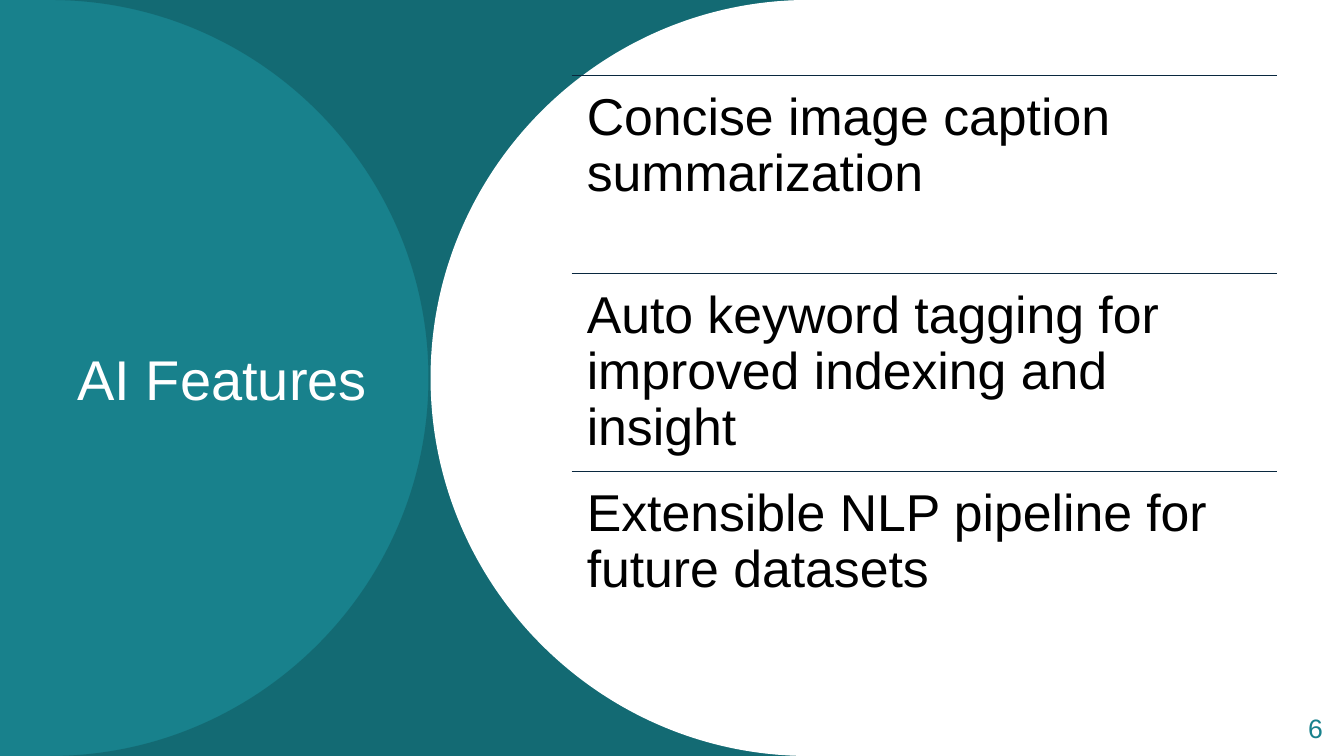
import pptx
import pptx.dml.color
import pptx.enum.shapes
import pptx.enum.text
import pptx.oxml.ns
import pptx.util
from lxml import etree

WIDTH, HEIGHT = 13.33, 7.5
RADIUS = HEIGHT / 2
HANDLE = RADIUS * 0.55
FONT = "Arial"
TEAL, DEEP_TEAL, NAVY, WHITE, BLACK = "18818C", "126169", "09283F", "FFFFFF", "000000"
FEATURES = [
    "Concise image caption summarization",
    "Auto keyword tagging for improved indexing and insight",
    "Extensible NLP pipeline for future datasets",
]


def color(value):
    return pptx.dml.color.RGBColor.from_string(value)


def emu(lengths):
    return [pptx.util.Inches(length) for length in lengths]


def write(frame, text, size, text_color, align, anchor, spacing=0.9, inset=(0.1, 0.05)):
    frame.word_wrap = True
    frame.auto_size = pptx.enum.text.MSO_AUTO_SIZE.NONE
    frame.vertical_anchor = anchor
    frame.margin_left = frame.margin_right = pptx.util.Inches(inset[0])
    frame.margin_top = frame.margin_bottom = pptx.util.Inches(inset[1])
    paragraph = frame.paragraphs[0]
    paragraph.text = text
    paragraph.alignment = align
    paragraph.line_spacing = spacing
    paragraph.font.name = FONT
    paragraph.font.size = pptx.util.Pt(size)
    paragraph.font.color.rgb = color(text_color)


def curve_lines(panel, curve_count):
    lines = list(panel._element.iter(pptx.oxml.ns.qn("a:lnTo")))
    for first in range(0, curve_count * 3, 3):
        group = lines[first:first + 3]
        curve = etree.Element(pptx.oxml.ns.qn("a:cubicBezTo"))
        group[0].addprevious(curve)
        for line in group:
            curve.append(line[0])
            line.getparent().remove(line)


def add_arched_panel(slide, center, bulge, far_edge, fill, opacity=100):
    tip = center + bulge * RADIUS
    shoulder = center + bulge * HANDLE
    outline = [
        (shoulder, 0), (tip, RADIUS - HANDLE), (tip, RADIUS),
        (tip, RADIUS + HANDLE), (shoulder, HEIGHT), (center, HEIGHT),
        (far_edge, HEIGHT), (far_edge, 0),
    ]
    builder = slide.shapes.build_freeform(pptx.util.Inches(center), 0)
    builder.add_line_segments([emu(point) for point in outline], close=True)
    panel = builder.convert_to_shape()
    curve_lines(panel, 2)
    panel.shadow.inherit = False
    panel.line.fill.background()
    panel.fill.solid()
    panel.fill.fore_color.rgb = color(fill)
    if opacity < 100:
        tint = panel._element.spPr.find(".//" + pptx.oxml.ns.qn("a:srgbClr"))
        etree.SubElement(tint, pptx.oxml.ns.qn("a:alpha"), val=str(opacity * 1000))


def add_backdrop(slide):
    add_arched_panel(slide, 8.04, -1, 0, TEAL)
    add_arched_panel(slide, 0.5, 1, 8.54, DEEP_TEAL, 70)
    add_arched_panel(slide, 8.02, -1, 10.78, WHITE)


def add_title(slide, box):
    title = slide.shapes.title
    slide.shapes._spTree.append(title._element)
    title.left, title.top, title.width, title.height = emu(box)
    write(title.text_frame, "AI Features", 40, WHITE,
          pptx.enum.text.PP_ALIGN.LEFT, pptx.enum.text.MSO_ANCHOR.MIDDLE, 1.0)


def add_features(slide, box):
    left, top, width, height = box
    row_height = height / len(FEATURES)
    for row, feature in enumerate(FEATURES):
        row_top = top + row * row_height
        rule = slide.shapes.add_connector(
            pptx.enum.shapes.MSO_CONNECTOR.STRAIGHT,
            *emu((left, row_top, left + width, row_top)))
        rule.line.color.rgb = color(NAVY)
        rule.line.width = pptx.util.Pt(1)
        etree.SubElement(rule._element.spPr, pptx.oxml.ns.qn("a:effectLst"))
        entry = slide.shapes.add_textbox(*emu((left, row_top, width, row_height)))
        write(entry.text_frame, feature, 37, BLACK, pptx.enum.text.PP_ALIGN.LEFT,
              pptx.enum.text.MSO_ANCHOR.TOP, inset=(0.15, 0.15))


def add_page_number(slide, box):
    number = slide.shapes.add_textbox(*emu(box))
    write(number.text_frame, "6", 19, TEAL,
          pptx.enum.text.PP_ALIGN.RIGHT, pptx.enum.text.MSO_ANCHOR.MIDDLE)


def main():
    deck = pptx.Presentation()
    deck.slide_width, deck.slide_height = emu((WIDTH, HEIGHT))
    slide = deck.slides.add_slide(deck.slide_layouts.get_by_name("Title Only"))
    add_backdrop(slide)
    add_title(slide, (0.67, HEIGHT * 0.1, 3.26, HEIGHT * 0.8))
    add_page_number(slide, (12.46, 7.04, 0.76, 0.4))
    add_features(slide, (5.67, HEIGHT * 0.1, 7, 5.89))
    deck.save("out.pptx")


if __name__ == "__main__":
    main()
